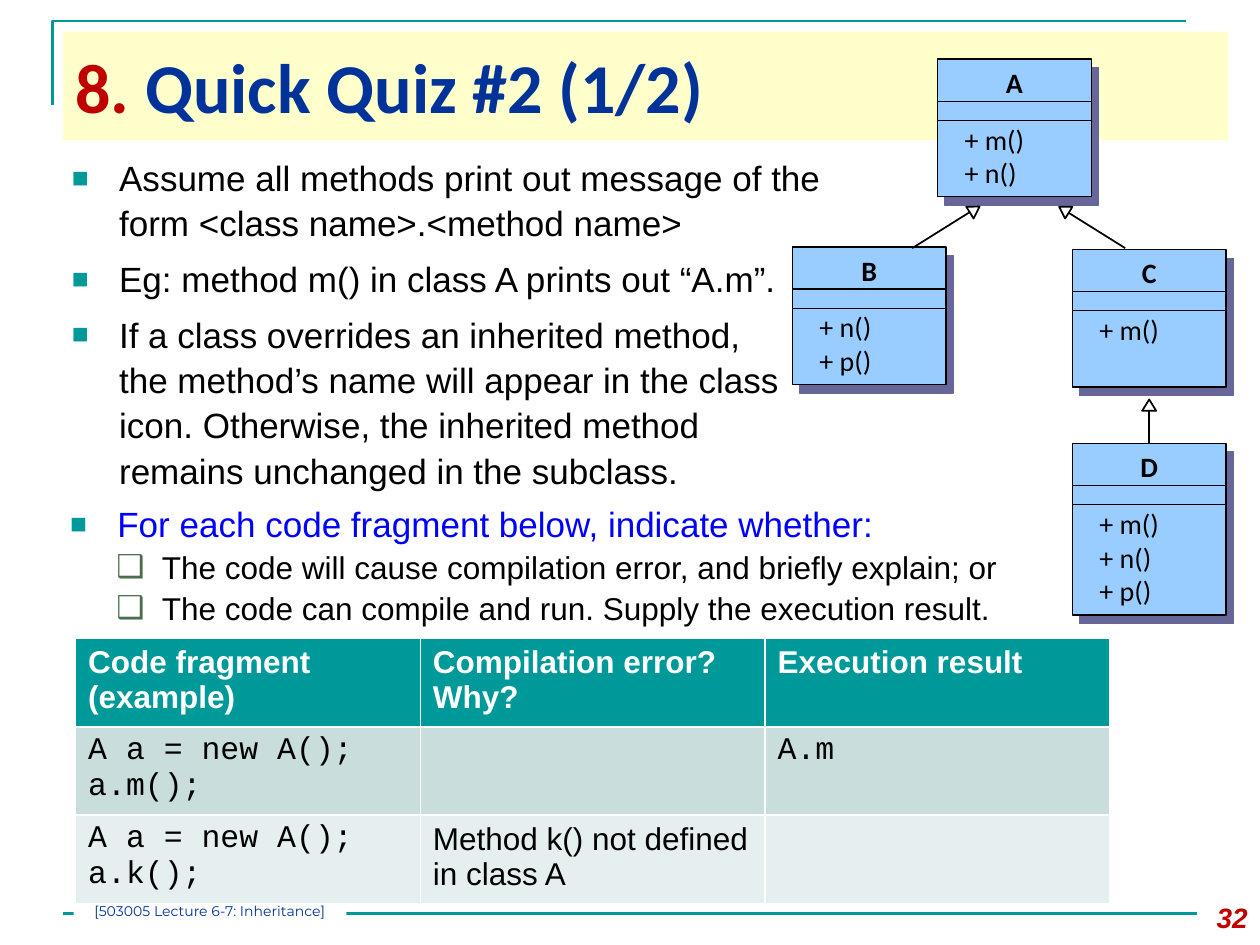
import pptx
import pptx.util
import pptx.dml.color
import pptx.enum.shapes
import pptx.enum.text
import pptx.oxml
import pptx.oxml.ns
from lxml import etree

Pt = pptx.util.Pt
RGB = pptx.dml.color.RGBColor
KIND = pptx.enum.shapes.MSO_SHAPE
ALIGN = pptx.enum.text.PP_ALIGN
ANCHOR = pptx.enum.text.MSO_ANCHOR
qn = pptx.oxml.ns.qn

TEAL = RGB(0x00, 0x99, 0x99)
CREAM = RGB(0xFF, 0xFF, 0xCC)
RED = RGB(0xC0, 0x00, 0x00)
NAVY = RGB(0x00, 0x33, 0x99)
BLUE = RGB(0x00, 0x00, 0xFF)
MOSS = RGB(0x4C, 0x6D, 0x4E)
SKY = RGB(0x99, 0xCC, 0xFF)
SHADE = RGB(0x66, 0x66, 0x99)
PALE = RGB(0xCA, 0xDD, 0xDD)
MIST = RGB(0xE6, 0xEF, 0xEF)
BLACK = RGB(0, 0, 0)
WHITE = RGB(0xFF, 0xFF, 0xFF)

BODY = {"name": "Arial", "size": Pt(20), "color": BLACK}
SUB = BODY | {"size": Pt(18)}
HEAD = SUB | {"color": WHITE, "bold": True}
CODE = SUB | {"name": "Courier New"}
TITLE = {"name": "Calibri", "size": Pt(40), "color": NAVY, "bold": True}
MEMBER = {"name": "Calibri", "size": Pt(16), "color": BLACK}
NAME = MEMBER | {"bold": True}
PAGE = {"name": "Arial", "size": Pt(16), "color": RED, "bold": True, "italic": True}
FOOT = {"name": "Montserrat", "size": Pt(8), "color": NAVY}

SQUARE = {"char": "■", "color": TEAL, "size": 80, "left": 27, "hang": 27}
BOX = {"char": "❑", "color": MOSS, "size": 100, "left": 52.5, "hang": 26}


def add_run(para, text, form):
    run = para.add_run()
    run.text = text
    for key, val in form.items():
        if key == "color":
            run.font.color.rgb = val
        else:
            setattr(run.font, key, val)


def fill_lines(frame, lines, form, align=ALIGN.LEFT):
    for num, text in enumerate(lines):
        para = frame.add_paragraph() if num else frame.paragraphs[0]
        para.alignment = align
        add_run(para, text, form)


def add_text(slide, box, lines, form, align=ALIGN.LEFT):
    frame = slide.shapes.add_textbox(*map(Pt, box)).text_frame
    frame.word_wrap = True
    fill_lines(frame, lines, form, align)


def add_bullet(para, mark):
    props = para._p.get_or_add_pPr()
    props.set("marL", str(int(Pt(mark["left"]))))
    props.set("indent", str(-int(Pt(mark["hang"]))))
    tint = etree.SubElement(props, qn("a:buClr"))
    etree.SubElement(tint, qn("a:srgbClr"), val=str(mark["color"]))
    etree.SubElement(props, qn("a:buSzPct"), val=str(mark["size"] * 1000))
    etree.SubElement(props, qn("a:buFont"), typeface="Arial")
    etree.SubElement(props, qn("a:buChar"), char=mark["char"])


def add_list(slide, box, items, gap=0):
    frame = slide.shapes.add_textbox(*map(Pt, box)).text_frame
    frame.word_wrap = True
    for num, (text, form, mark) in enumerate(items):
        para = frame.add_paragraph() if num else frame.paragraphs[0]
        para.line_spacing = 1.08
        if num:
            para.space_before = Pt(gap)
        add_bullet(para, mark)
        add_run(para, text, form)


def add_shape(slide, kind, box, fill, edge=None, width=1):
    shape = slide.shapes.add_shape(kind, *map(Pt, box))
    shape.shadow.inherit = False
    shape.fill.solid()
    shape.fill.fore_color.rgb = fill
    if edge is None:
        shape.line.fill.background()
    else:
        shape.line.color.rgb = edge
        shape.line.width = Pt(width)
    return shape


def add_line(slide, start, end, color=BLACK, width=1):
    kind = pptx.enum.shapes.MSO_CONNECTOR.STRAIGHT
    line = slide.shapes.add_connector(kind, *map(Pt, start + end))
    line.line.color.rgb = color
    line.line.width = Pt(width)
    etree.SubElement(line._element.spPr, qn("a:effectLst"))
    return line


def add_class(slide, left, top, high, name, members):
    wide = 88
    card = add_shape(slide, KIND.RECTANGLE, (left, top, wide, high), SKY, BLACK, 0.75)
    effect = card._element.spPr.find(qn("a:effectLst"))
    cast = etree.SubElement(effect, qn("a:outerShdw"), dist=str(int(Pt(6.4))),
                            dir="3060000", algn="ctr", rotWithShape="0")
    etree.SubElement(cast, qn("a:srgbClr"), val=str(SHADE))
    for drop in (24, 35):
        add_line(slide, (left, top + drop), (left + wide, top + drop), BLACK, 0.75)
    add_text(slide, (left + 11, top, 66, 26.5), [name], NAME, ALIGN.CENTER)
    add_text(slide, (left + 8.5, top + 32.5, 72, high - 32.5), members, MEMBER)
    return card


def add_arrow(slide, start, end, tip, turn):
    wide, high = 8, 6.5
    line = add_line(slide, start, end)
    box = (tip[0] - wide / 2, tip[1] - high / 2, wide, high)
    head = add_shape(slide, KIND.ISOSCELES_TRIANGLE, box, WHITE, BLACK)
    head.rotation = turn
    return line


def add_grid(slide):
    rows = [
        (TEAL, [(["Code fragment (example)"], HEAD),
                (["Compilation error? Why?"], HEAD),
                (["Execution result"], HEAD)]),
        (PALE, [(["A a = new A();", "a.m();"], CODE), ([], SUB), (["A.m"], CODE)]),
        (MIST, [(["A a = new A();", "a.k();"], CODE),
                (["Method k() not defined in class A"], SUB), ([], SUB)]),
    ]
    box = map(Pt, (43.2, 365, 591, 120))
    table = slide.shapes.add_table(len(rows), 3, *box).table
    for row, (fill, cells) in enumerate(rows):
        for col, (lines, form) in enumerate(cells):
            cell = table.cell(row, col)
            cell.fill.solid()
            cell.fill.fore_color.rgb = fill
            fill_lines(cell.text_frame, lines, form)


def add_frame(slide):
    build = slide.shapes.build_freeform(Pt(30), Pt(60))
    build.add_line_segments([(Pt(30), Pt(12)), (Pt(678), Pt(12))], close=False)
    edge = build.convert_to_shape()
    edge.shadow.inherit = False
    edge.fill.background()
    edge.line.color.rgb = TEAL
    edge.line.width = Pt(1.5)
    add_line(slide, (36, 522), (684, 522), TEAL, 1.5)

    band = add_shape(slide, KIND.RECTANGLE, (36, 18, 666, 62), CREAM)
    band.text_frame.vertical_anchor = ANCHOR.MIDDLE
    fill_lines(band.text_frame, ["8. "], TITLE | {"color": RED})
    add_run(band.text_frame.paragraphs[0], "Quick Quiz #2 (1/2)", TITLE)

    add_text(slide, (672, 511, 48, 29), ["32"], PAGE, ALIGN.RIGHT)
    foot = add_shape(slide, KIND.RECTANGLE, (42, 516, 156, 13), WHITE).text_frame
    for side in ("left", "top", "right", "bottom"):
        setattr(foot, "margin_" + side, 0)
    foot.vertical_anchor = ANCHOR.TOP
    fill_lines(foot, ["[503005 Lecture 6-7: Inheritance]"], FOOT, ALIGN.CENTER)


def add_tree(slide):
    add_class(slide, 535.7, 33.8, 78.5, "A", ["+ m()", "+ n()"])
    add_class(slide, 452.7, 141.1, 78.5, "B", ["+ n()", "+ p()"])
    add_class(slide, 612.7, 142.6, 78.5, "C", ["+ m()"])
    card = add_class(slide, 612.7, 253.4, 98, "D", ["+ m()", "+ n()", "+ p()"])
    add_arrow(slide, (521.3, 141.8), (555.8, 120.2), (557, 119.8), 58.2)
    add_arrow(slide, (643, 141.8), (608.4, 120.2), (608, 119.8), -58.2)
    stem = add_arrow(slide, (656.7, 253.4), (656.7, 233.3), (656.7, 231.5), 0)
    stem.begin_connect(card, 0)


def main():
    deck = pptx.Presentation()
    deck.slide_width, deck.slide_height = Pt(720), Pt(540)
    slide = deck.slides.add_slide(deck.slide_layouts[6])
    add_frame(slide)
    add_list(slide, (34, 84, 474, 83), [
        ("Assume all methods print out message of the form "
         "<class name>.<method name>", BODY, SQUARE),
        ("Eg: method m() in class A prints out “A.m”.", BODY, SQUARE)], 6)
    add_list(slide, (34, 173.5, 427, 129), [
        ("If a class overrides an inherited method, the method’s name will appear "
         "in the class icon. Otherwise, the inherited method remains unchanged "
         "in the subclass.", BODY, SQUARE)])
    add_list(slide, (33, 282, 560, 83), [
        ("For each code fragment below, indicate whether:",
         BODY | {"color": BLUE}, SQUARE),
        ("The code will cause compilation error, and briefly explain; or", SUB, BOX),
        ("The code can compile and run. Supply the execution result.", SUB, BOX)])
    add_grid(slide)
    add_tree(slide)
    deck.save("out.pptx")


if __name__ == "__main__":
    main()
